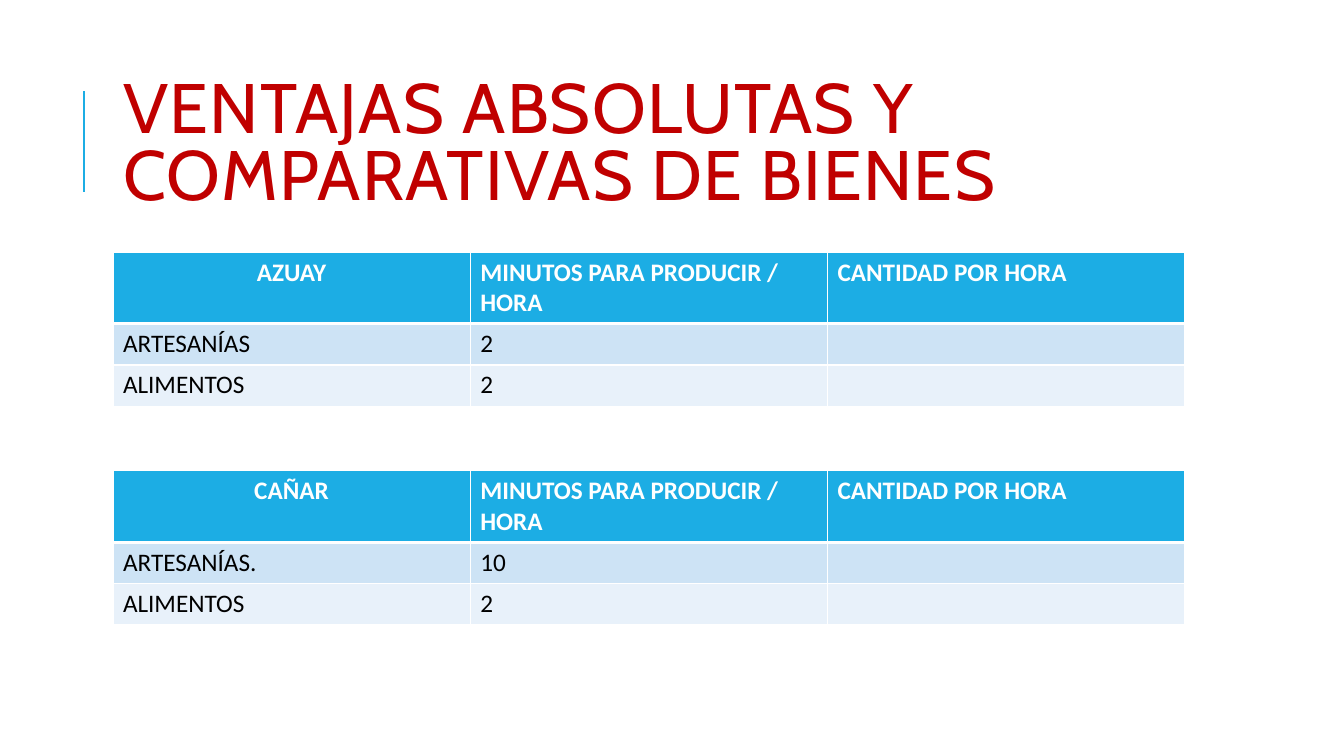
from lxml import etree
from pptx import Presentation
from pptx import util as u
from pptx.dml.color import RGBColor
from pptx.enum import shapes, text
from pptx.oxml.ns import qn

SCALE = 9144  # EMU per px, 100 px to the inch
BLUE, RED, WHITE, BLACK = "1CADE4", "C00000", "FFFFFF", "000000"
BANDS = ["CDE3F5", "E8F1FA"]
LEFT, WIDTH = 112, 1063
ROWS = [70, 41, 41]
HEADS = ["MINUTOS PARA PRODUCIR / HORA", "CANTIDAD POR HORA"]


def px(n):
    return u.Emu(n * SCALE)


def color(code):
    return RGBColor.from_string(code)


def style(para, face, size, code, bold=False):
    font = para.font
    font.name, font.size, font.bold = face, u.Pt(size), bold
    font.color.rgb = color(code)


def add_title(slide, words):
    title = slide.shapes.title
    title.left, title.top = px(LEFT), px(64)
    title.width, title.height = px(WIDTH), px(164)
    frame = title.text_frame
    frame.text = words
    frame.word_wrap = True
    frame.auto_size = text.MSO_AUTO_SIZE.NONE
    frame.vertical_anchor = text.MSO_ANCHOR.MIDDLE
    para = frame.paragraphs[0]
    para.alignment = text.PP_ALIGN.LEFT
    para.line_spacing = 0.8
    style(para, "Cabin", 50, RED)
    # Letter spacing of 1 pt
    para.runs[0]._r.get_or_add_rPr().set("spc", "100")


def add_rule(slide):
    rule = slide.shapes.add_connector(
        shapes.MSO_CONNECTOR.STRAIGHT, px(83), px(190), px(83), px(90))
    rule.line.color.rgb = color(BLUE)
    rule.line.width = u.Pt(1.5)
    etree.SubElement(rule._element.spPr, qn("a:effectLst"))


def add_edges(cell, top, bottom):
    props = cell._tc.get_or_add_tcPr()
    for side, width in [("L", 1), ("R", 1), ("T", top), ("B", bottom)]:
        line = etree.SubElement(props, qn("a:ln" + side), w=str(u.Pt(width)))
        fill = etree.SubElement(line, qn("a:solidFill"))
        etree.SubElement(fill, qn("a:srgbClr"), val=WHITE)


def add_grid(slide, top, data):
    grid = slide.shapes.add_table(
        len(data), 3, px(LEFT), px(top), px(WIDTH), px(sum(ROWS))).table
    for r, row in enumerate(data):
        grid.rows[r].height = px(ROWS[r])
        head = r == 0
        for c, words in enumerate(row):
            cell = grid.cell(r, c)
            add_edges(cell, 3 if r == 1 else 1, 3 if head else 1)
            cell.fill.solid()
            cell.fill.fore_color.rgb = color(BLUE if head else BANDS[r - 1])
            cell.text = words
            para = cell.text_frame.paragraphs[0]
            style(para, "Calibri", 18, WHITE if head else BLACK, head)
            if head and c == 0:
                para.alignment = text.PP_ALIGN.CENTER


def main():
    deck = Presentation()
    deck.slide_width, deck.slide_height = px(1333), px(750)
    slide = deck.slides.add_slide(deck.slide_layouts[5])

    # Heading with its side rule
    add_rule(slide)
    add_title(slide, "VENTAJAS ABSOLUTAS Y COMPARATIVAS DE BIENES")

    # One table per province
    add_grid(slide, 250, [["AZUAY", *HEADS],
                          ["ARTESANÍAS", "2", ""],
                          ["ALIMENTOS", "2", ""]])
    add_grid(slide, 467, [["CAÑAR", *HEADS],
                          ["ARTESANÍAS.", "10", ""],
                          ["ALIMENTOS", "2", ""]])
    deck.save("out.pptx")


if __name__ == "__main__":
    main()
